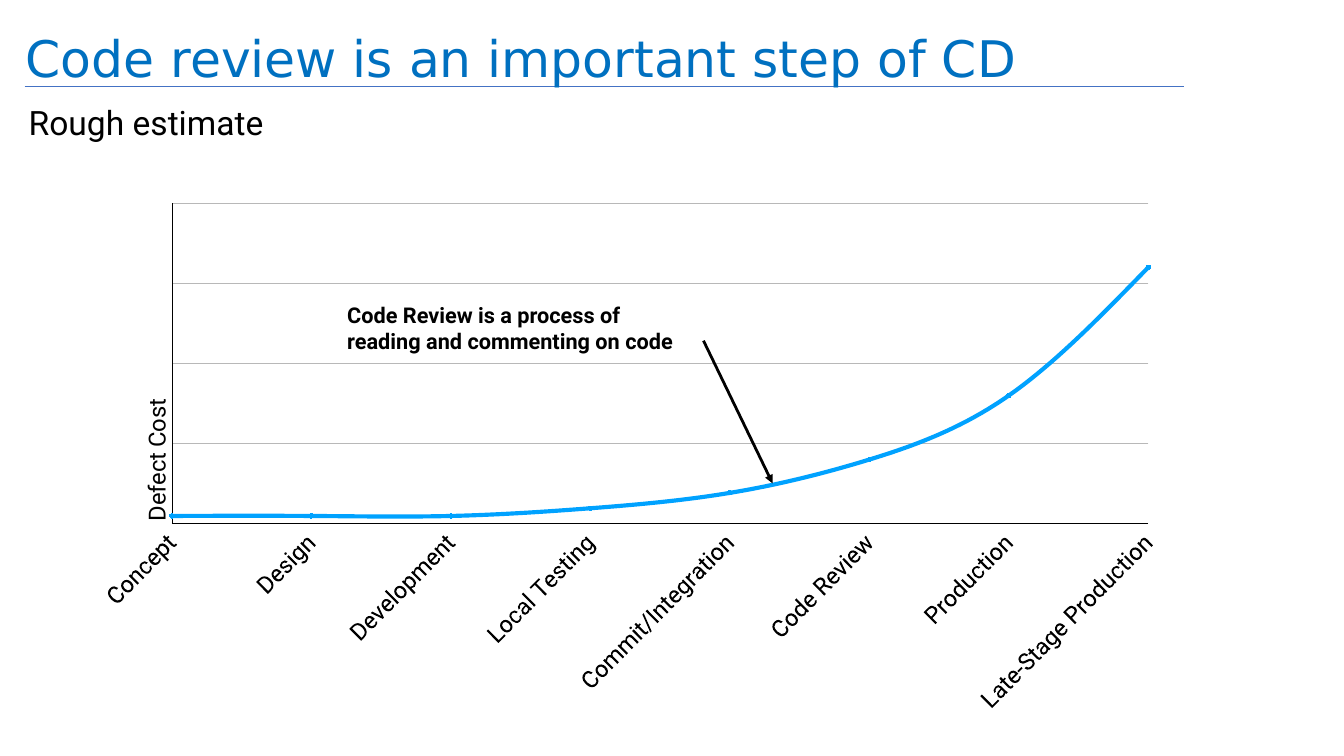
from lxml import etree
from pptx import Presentation
from pptx.chart.data import CategoryChartData
from pptx.dml.color import RGBColor
from pptx.enum.chart import XL_CHART_TYPE, XL_MARKER_STYLE, XL_TICK_LABEL_POSITION, XL_TICK_MARK
from pptx.enum.shapes import MSO_CONNECTOR
from pptx.enum.text import MSO_ANCHOR
from pptx.oxml.ns import qn
from pptx.util import Inches, Pt

LINES = XL_CHART_TYPE.LINE_MARKERS
CIRCLE = XL_MARKER_STYLE.CIRCLE
NO_LABEL = XL_TICK_LABEL_POSITION.NONE
LOW_LABEL = XL_TICK_LABEL_POSITION.LOW
NO_TICK = XL_TICK_MARK.NONE
STRAIGHT = MSO_CONNECTOR.STRAIGHT
TOP, MIDDLE, BOTTOM = MSO_ANCHOR.TOP, MSO_ANCHOR.MIDDLE, MSO_ANCHOR.BOTTOM

BLACK = RGBColor(0, 0, 0)
TITLE = RGBColor(0x00, 0x70, 0xC0)
RULE = RGBColor(0x44, 0x72, 0xC4)
CURVE = RGBColor(0x00, 0xA2, 0xFF)
GRID = RGBColor(0xB8, 0xB8, 0xB8)

WIDE, HIGH = 26.67, 15
FONT = "Roboto"
COSTS = {
    "Concept": 3,
    "Design": 3,
    "Development": 3,
    "Local Testing": 6,
    "Commit/Integration": 12,
    "Code Review": 25,
    "Production": 50,
    "Late-Stage Production": 100,
}


def style(font, size, color=BLACK, name=FONT, bold=False):
    """Set the look of a font."""
    font.size, font.name, font.bold = Pt(size), name, bold
    font.color.rgb = color


def ink(line, color, width):
    """Set the colour and width of a line."""
    line.color.rgb = color
    line.width = Pt(width)


def add_text(slide, box, rows, size, anchor=TOP, pad=0.1, wrap=True, space=None, **look):
    """Add a text box with one paragraph for each row."""
    frame = slide.shapes.add_textbox(*map(Inches, box)).text_frame
    frame.word_wrap, frame.vertical_anchor = wrap, anchor
    frame.margin_left = frame.margin_right = Inches(pad)
    frame.margin_top = frame.margin_bottom = Inches(pad)
    for i, row in enumerate(rows):
        para = frame.paragraphs[0] if i == 0 else frame.add_paragraph()
        para.line_spacing = space
        run = para.add_run()
        run.text = row
        style(run.font, size, **look)


def add_line(slide, start, end, color, width, arrow=False):
    """Add a straight line, with an arrowhead at its end if asked."""
    line = slide.shapes.add_connector(STRAIGHT, *map(Inches, start + end))
    ink(line.line, color, width)
    props = line._element.spPr
    if arrow:
        etree.SubElement(props.find(qn("a:ln")), qn("a:tailEnd"), type="triangle")
    etree.SubElement(props, qn("a:effectLst"))


def place(node, index, **parts):
    """Give a chart part a manual layout."""
    for old in node.findall(qn("c:layout")):
        node.remove(old)
    layout = etree.Element(qn("c:layout"))
    node.insert(index, layout)
    manual = etree.SubElement(layout, qn("c:manualLayout"))
    for tag, value in parts.items():
        etree.SubElement(manual, qn("c:" + tag), val=str(value))


def turn(node, angle):
    """Rotate the text of a chart part by whole degrees."""
    body = next(node.iter(qn("a:bodyPr")))
    body.set("rot", str(angle * 60000))
    body.set("vert", "horz")


def set_axis(axis, labels):
    """Style what both axes share."""
    axis.major_tick_mark = axis.minor_tick_mark = NO_TICK
    axis.tick_label_position = labels
    ink(axis.format.line, BLACK, 1)
    style(axis.tick_labels.font, 34)


def set_cost(axis):
    """Set the scale, grid and title of the cost axis."""
    set_axis(axis, NO_LABEL)
    axis.minimum_scale, axis.maximum_scale, axis.major_unit = 0, 125, 31.25
    axis.has_major_gridlines = True
    ink(axis.major_gridlines.format.line, GRID, 1)
    node = axis._element
    for old in node.findall(qn("c:crossBetween")):
        node.remove(old)
    cross = etree.Element(qn("c:crossBetween"), val="midCat")
    node.find(qn("c:crosses")).addnext(cross)
    run = axis.axis_title.text_frame.paragraphs[0].add_run()
    run.text = "Defect Cost"
    style(run.font, 34)
    title = axis.axis_title._element
    turn(title, -90)
    place(title, 1, xMode="edge", yMode="edge", x=0.02, y=0.39)


def add_curve(slide, box):
    """Add the line chart of defect cost by stage."""
    data = CategoryChartData()
    data.categories = list(COSTS)
    data.add_series("Series 1", list(COSTS.values()))
    chart = slide.shapes.add_chart(LINES, *map(Inches, box), data).chart
    chart.has_legend = chart.has_title = False
    style(chart.font, 10, name="Calibri")
    plot = chart.plots[0]
    plot.vary_by_categories = False
    series = plot.series[0]
    series.smooth = True
    ink(series.format.line, CURVE, 6)
    mark = series.marker
    mark.style, mark.size = CIRCLE, 6
    mark.format.fill.solid()
    mark.format.fill.fore_color.rgb = CURVE
    ink(mark.format.line, CURVE, 1)
    stage = chart.category_axis
    set_axis(stage, LOW_LABEL)
    stage.has_major_gridlines = False
    turn(stage._element, -45)
    set_cost(chart.value_axis)
    area = next(chart._chartSpace.iter(qn("c:plotArea")))
    place(area, 0, layoutTarget="inner", xMode="edge", yMode="edge",
          x=0.051, y=0.049, w=0.865, h=0.575)


def main():
    """Build and save the slide."""
    deck = Presentation()
    deck.slide_width, deck.slide_height = Inches(WIDE), Inches(HIGH)
    slide = deck.slides.add_slide(deck.slide_layouts[6])
    add_line(slide, (0.49, 1.71), (23.49, 1.71), RULE, 1)
    add_text(slide, (0.41, -1.04, 25.95, 2.9), ["Code review is an important step of CD"],
             72, BOTTOM, space=0.9, color=TITLE, name="DejaVu Sans")
    add_text(slide, (0.47, 1.92, 25.83, 11.16), ["Rough estimate"], 48)
    add_curve(slide, (0.075 * WIDE, 3.49, 0.85 * WIDE, 11.06))
    add_line(slide, (13.96, 6.76), (15.33, 9.59), BLACK, 4, arrow=True)
    add_text(slide, (6.83, 5.93, 7.03, 1.15),
             ["Code Review is a process of", "reading and commenting on code"],
             31, MIDDLE, pad=0.06, wrap=False, bold=True)
    deck.save("out.pptx")


if __name__ == "__main__":
    main()
